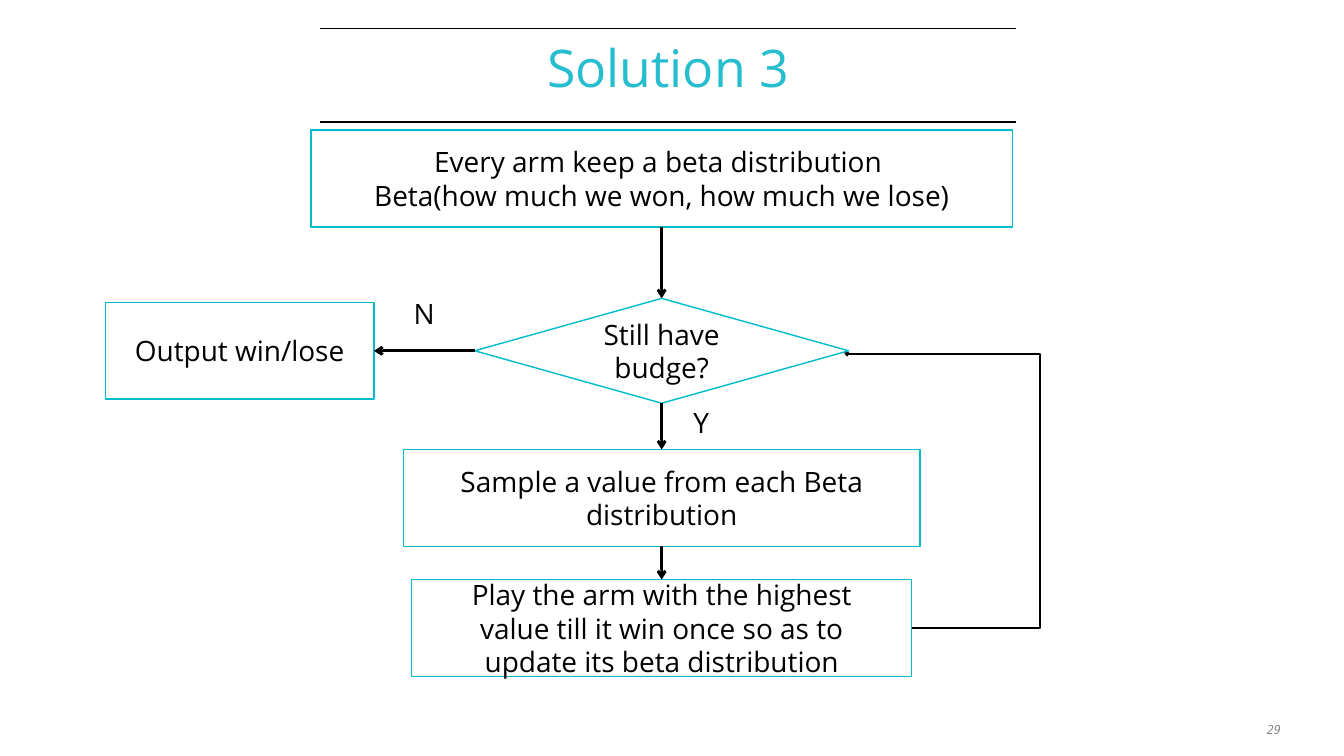
from lxml import etree
from pptx import Presentation
from pptx.dml.color import RGBColor
from pptx.enum.shapes import MSO_CONNECTOR as LINK, MSO_SHAPE as SHAPE
from pptx.enum.text import MSO_ANCHOR as ANCHOR, MSO_AUTO_SIZE as FIT, PP_ALIGN as ALIGN
from pptx.oxml.ns import qn
from pptx.util import Inches, Pt

COLORS = {"title": "26BDCF", "border": "00BCCD", "ink": "000000", "number": "808184", "paper": "FFFFFF"}
TOP, LEFT, BOTTOM = 0, 1, 2


def color(name):
    return RGBColor.from_string(COLORS[name])


def write(shape, lines, size=40, ink="ink", align=ALIGN.CENTER, insets=(0, 0), italic=False, **frame_format):
    frame = shape.text_frame
    across, down = map(Inches, insets)
    frame_values = {"margin_left": across, "margin_right": across, "margin_top": down,
                    "margin_bottom": down, "auto_size": FIT.NONE, "word_wrap": True, **frame_format}
    for name, value in frame_values.items():
        setattr(frame, name, value)
    for index, line in enumerate(lines):
        para = frame.paragraphs[0] if index == 0 else frame.add_paragraph()
        para.alignment = align
        span = para.add_run()
        span.text = line
        for name, value in {"name": "Open Sans", "size": Pt(size), "italic": italic, "bold": False}.items():
            setattr(span.font, name, value)
        span.font.color.rgb = color(ink)


def add_line(page, start, end, width, kind=LINK.STRAIGHT, arrow=False):
    line = page.shapes.add_connector(kind, *map(Inches, (*start, *end)))
    line.line.width = Pt(width)
    line.line.color.rgb = color("ink")
    if arrow:
        etree.SubElement(line.line._get_or_add_ln(), qn("a:tailEnd"), type="arrow")
    etree.SubElement(line._element.spPr, qn("a:effectLst"))
    return line


def add_arrow(page, source, source_site, target, target_site):
    arrow = add_line(page, (0, 0), (1, 1), 4, arrow=True)
    arrow.begin_connect(source, source_site)
    arrow.end_connect(target, target_site)


def add_loop(page, start, end, adjustments):
    loop = add_line(page, start, end, 2, LINK.ELBOW, arrow=True)
    geometry = loop._element.spPr.find(qn("a:prstGeom"))
    geometry.set("prst", "bentConnector4")
    guides = geometry.find(qn("a:avLst"))
    if guides is None:
        guides = etree.SubElement(geometry, qn("a:avLst"))
    for index, value in enumerate(adjustments, 1):
        etree.SubElement(guides, qn("a:gd"), name=f"adj{index}", fmla=f"val {round(value * 100000)}")


def add_step(page, box, lines, kind=SHAPE.FLOWCHART_PROCESS):
    step = page.shapes.add_shape(kind, *map(Inches, box))
    step.shadow.inherit = False
    step.fill.solid()
    step.fill.fore_color.rgb = color("paper")
    step.line.color.rgb = color("border")
    step.line.width = Pt(2)
    write(step, lines, insets=(0.5, 0.25), vertical_anchor=ANCHOR.MIDDLE)
    return step


def add_label(page, box, text, **text_format):
    label = page.shapes.add_textbox(*map(Inches, box))
    write(label, [text], **{"insets": (0.1, 0.05), "word_wrap": False, **text_format})


def add_heading(page, box, text):
    left, top, width, height = box
    rule_left, rule_right = left + 5.16, left + 18.97
    for y in (top - 0.16, top + height + 0.19):
        add_line(page, (rule_left, y), (rule_right, y), 2)
    title = page.shapes.title
    for name, value in zip(("left", "top", "width", "height"), box):
        setattr(title, name, Inches(value))
    write(title, [text], size=74, ink="title", vertical_anchor=ANCHOR.MIDDLE)
    title.text_frame.paragraphs[0].line_spacing = 0.7


def add_flow(page, box):
    left, top, width, height = box
    middle = left + 11.04
    step_height = 1.92

    def centred(y, step_width, tall=step_height):
        return middle - step_width / 2, top + y, step_width, tall

    start = add_step(page, centred(0, 13.92), [
        "Every arm keep a beta distribution ", "Beta(how much we won, how much we lose)"])
    sample = add_step(page, centred(6.34, 10.25), ["Sample a value from each Beta distribution"])
    budget = add_step(page, centred(3.34, 7.42, 2.08), ["Still have budge?"], SHAPE.FLOWCHART_DECISION)
    play = add_step(page, centred(8.92, 9.92), [
        "Play the arm with the highest value till it win once so as to update its beta distribution"])
    output = add_step(page, (left, top + 3.42, 5.33, step_height), ["Output win/lose"])

    for source, target in ((start, budget), (budget, sample), (sample, play)):
        add_arrow(page, source, BOTTOM, target, TOP)
    add_arrow(page, budget, LEFT, output, RIGHT_SITE)
    add_loop(page, (left + 16, top + 9.88), (left + 14.66, top + 4.42), (-1.9, 0.995))
    add_label(page, (left + 11.58, top + 5.42, 0.49, 0.77), "Y")
    add_label(page, (left + 6.03, top + 3.25, 0.6, 0.77), "N")


RIGHT_SITE = 3


def main():
    deck = Presentation()
    deck.slide_width, deck.slide_height = Inches(26.67), Inches(15)
    page = deck.slides.add_slide(deck.slide_layouts[5])
    add_heading(page, (1.19, 0.73, 24.14, 1.5), "Solution 3")
    add_flow(page, (2.09, 2.58, 18.53, 10.84))
    add_label(page, (25.24, 14.24, 0.25, 0.24), "29", size=18, ink="number",
              align=ALIGN.RIGHT, insets=(0.17, 0.08), italic=True)
    deck.save("out.pptx")


if __name__ == "__main__":
    main()
